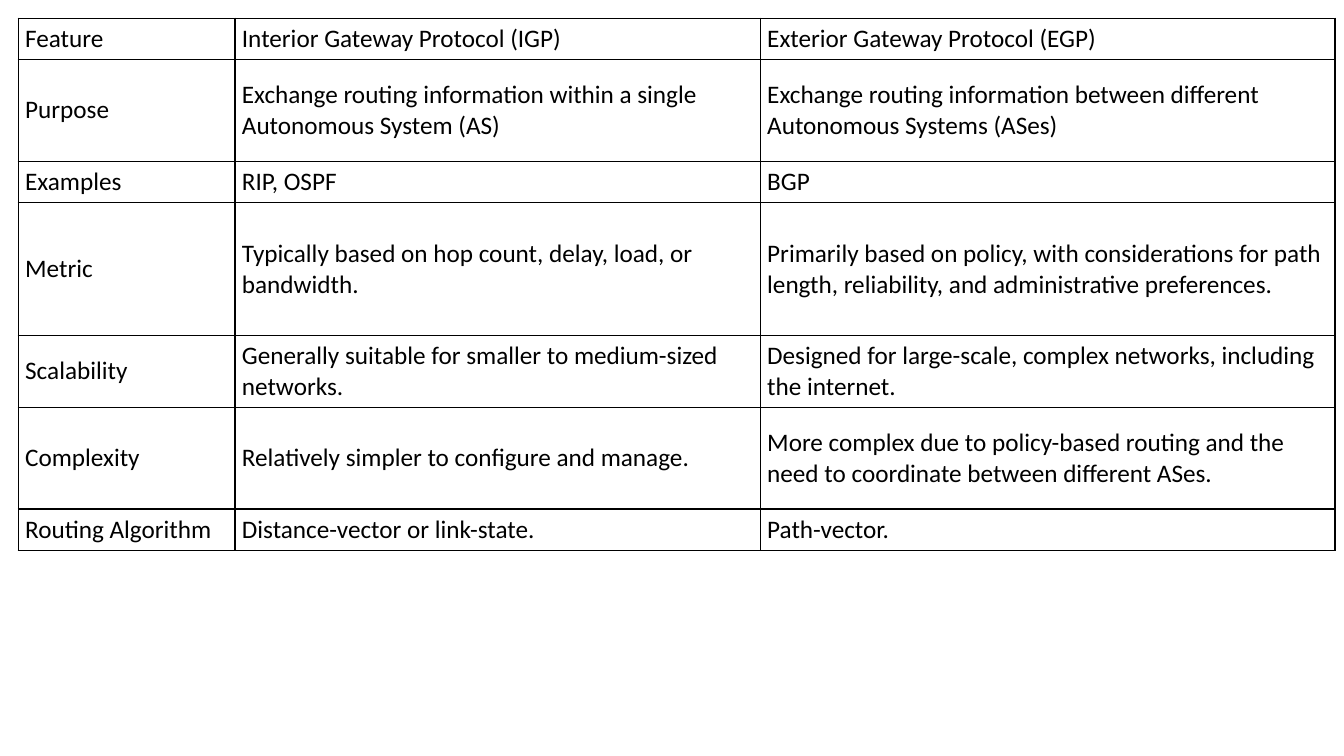
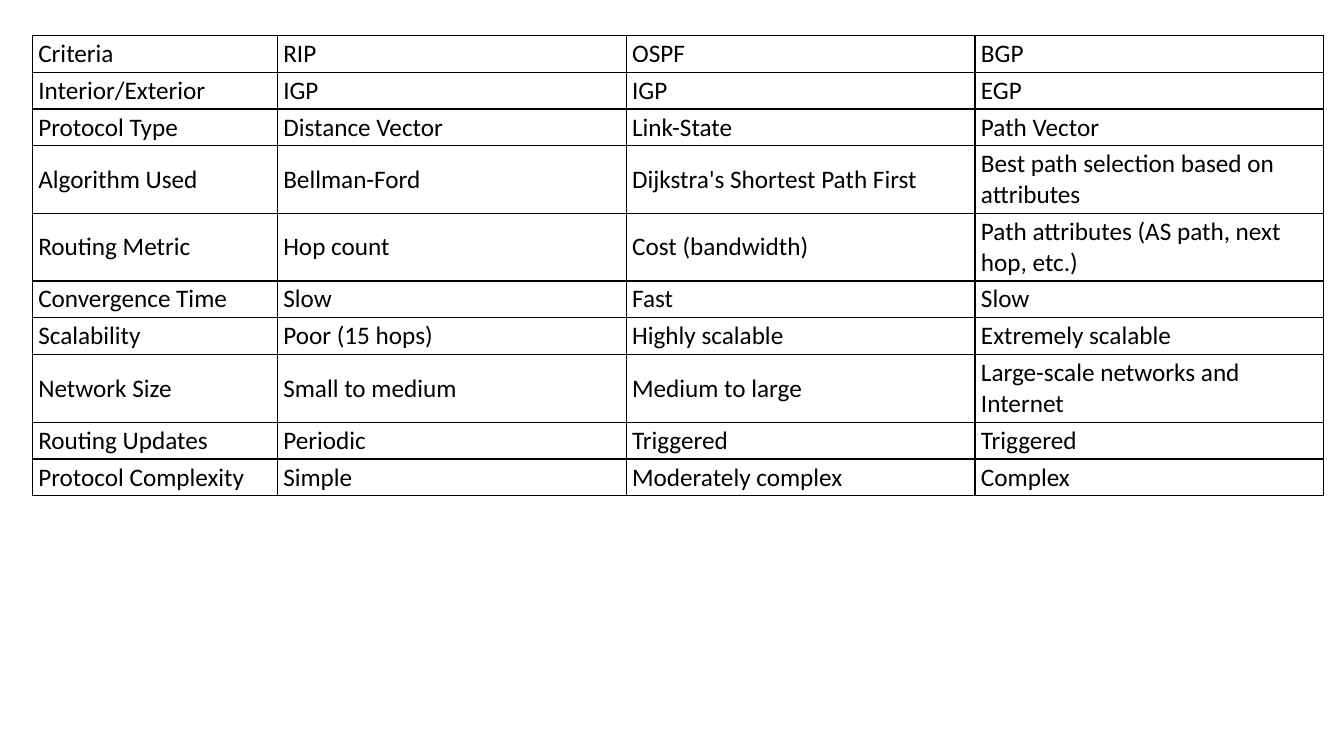
from lxml import etree
from pptx import Presentation
from pptx.dml.color import RGBColor
from pptx.enum.text import MSO_ANCHOR
from pptx.oxml.ns import qn
from pptx.util import Inches, Pt

COLORS = {"ink": "000000", "paper": "FFFFFF"}
FONT = "Calibri"
TEXT_SIZE = Pt(18)
BORDER_WIDTH = Pt(1)
MARGIN_Y = Inches(0.03)

TABLES = [
    {
        "left": 0.18,
        "top": 0.18,
        "margin_x": 0.07,
        "columns": [2.15, 5.21, 5.7],
        "heights": [0.41, 1.01, 0.41, 1.32, 0.71, 1.01, 0.41],
        "rows": [
            ("Feature", "Interior Gateway Protocol (IGP)", "Exterior Gateway Protocol (EGP)"),
            ("Purpose",
             "Exchange routing information within a single Autonomous System (AS)",
             "Exchange routing information between different Autonomous Systems (ASes)"),
            ("Examples", "RIP, OSPF", "BGP"),
            ("Metric",
             "Typically based on hop count, delay, load, or bandwidth.",
             "Primarily based on policy, with considerations for path length, "
             "reliability, and administrative preferences."),
            ("Scalability",
             "Generally suitable for smaller to medium-sized networks.",
             "Designed for large-scale, complex networks, including the internet."),
            ("Complexity",
             "Relatively simpler to configure and manage.",
             "More complex due to policy-based routing and the need to coordinate "
             "between different ASes."),
            ("Routing Algorithm", "Distance-vector or link-state.", "Path-vector."),
        ],
    },
    {
        "left": 0.32,
        "top": 0.35,
        "margin_x": 0.06,
        "columns": [2.43] + [3.46] * 3,
        "heights": [0.35] * 3 + [0.61] * 2 + [0.35] * 2 + [0.61] + [0.35] * 2,
        "rows": [
            ("Criteria", "RIP", "OSPF", "BGP"),
            ("Interior/Exterior", "IGP", "IGP", "EGP"),
            ("Protocol Type", "Distance Vector", "Link-State", "Path Vector"),
            ("Algorithm Used", "Bellman-Ford", "Dijkstra's Shortest Path First",
             "Best path selection based on attributes"),
            ("Routing Metric", "Hop count", "Cost (bandwidth)",
             "Path attributes (AS path, next hop, etc.)"),
            ("Convergence Time", "Slow", "Fast", "Slow"),
            ("Scalability", "Poor (15 hops)", "Highly scalable", "Extremely scalable"),
            ("Network Size", "Small to medium", "Medium to large",
             "Large-scale networks and Internet"),
            ("Routing Updates", "Periodic", "Triggered", "Triggered"),
            ("Protocol Complexity", "Simple", "Moderately complex", "Complex"),
        ],
    },
]


def add_borders(cell):
    properties = cell._tc.get_or_add_tcPr()
    for index, side in enumerate(("a:lnL", "a:lnR", "a:lnT", "a:lnB")):
        line = etree.Element(qn(side), w=str(BORDER_WIDTH))
        fill = etree.SubElement(line, qn("a:solidFill"))
        etree.SubElement(fill, qn("a:srgbClr"), val=COLORS["ink"])
        properties.insert(index, line)


def fill_cell(cell, text, margin_x):
    cell.text = text
    cell.vertical_anchor = MSO_ANCHOR.MIDDLE
    cell.margin_left = cell.margin_right = margin_x
    cell.margin_top = cell.margin_bottom = MARGIN_Y
    cell.fill.solid()
    cell.fill.fore_color.rgb = RGBColor.from_string(COLORS["paper"])
    font = cell.text_frame.paragraphs[0].font
    font.name = FONT
    font.size = TEXT_SIZE
    font.color.rgb = RGBColor.from_string(COLORS["ink"])
    add_borders(cell)


def add_comparison(page, content):
    rows, columns, heights = content["rows"], content["columns"], content["heights"]
    table = page.shapes.add_table(
        len(rows), len(columns),
        Inches(content["left"]), Inches(content["top"]),
        Inches(sum(columns)), Inches(sum(heights)),
    ).table
    table.first_row = False
    table.horz_banding = False
    for column, width in zip(table.columns, columns):
        column.width = Inches(width)
    for row, height, texts in zip(table.rows, heights, rows):
        row.height = Inches(height)
        for cell, text in zip(row.cells, texts):
            fill_cell(cell, text, Inches(content["margin_x"]))


def main():
    deck = Presentation()
    deck.slide_width = Inches(13.33)
    deck.slide_height = Inches(7.5)
    for content in TABLES:
        page = deck.slides.add_slide(deck.slide_layouts[6])
        add_comparison(page, content)
    deck.save("out.pptx")


if __name__ == "__main__":
    main()
